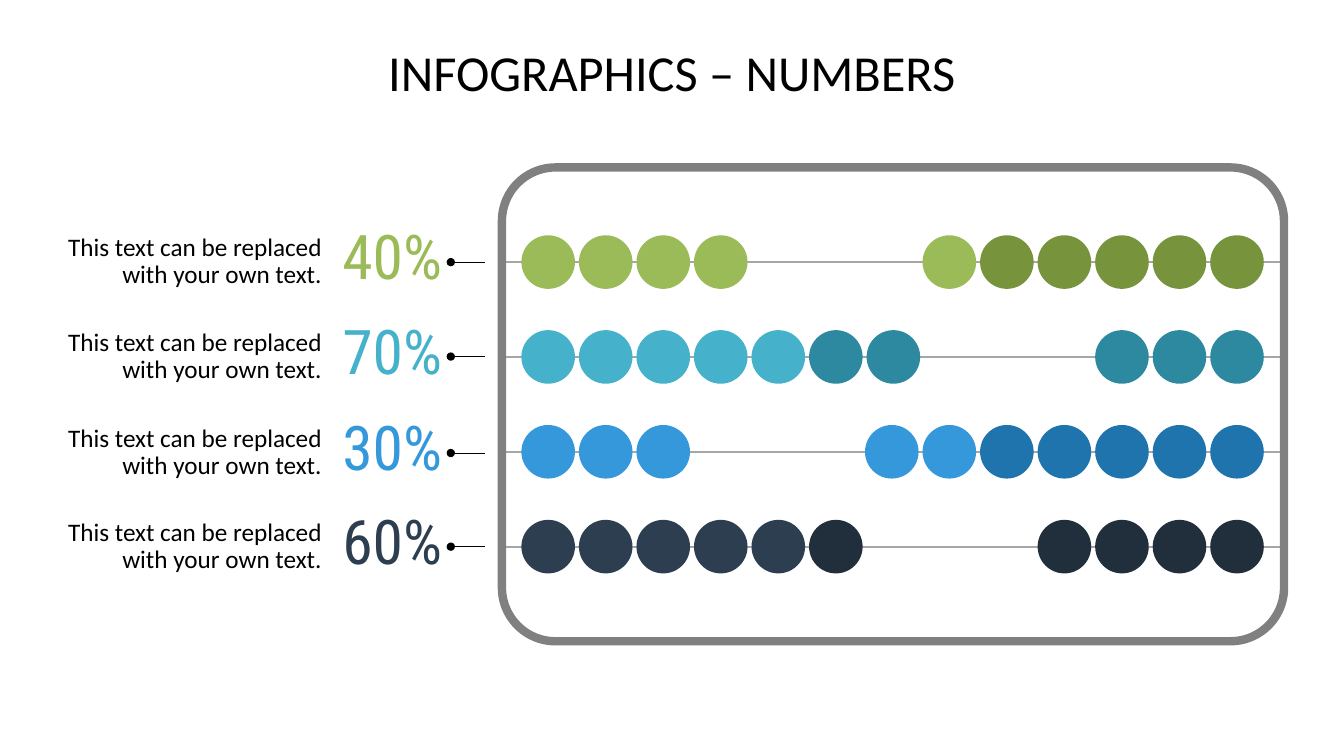
from collections import namedtuple

from lxml.etree import SubElement
from pptx import Presentation
from pptx.dml.color import RGBColor
from pptx.enum.shapes import MSO_CONNECTOR as Connector, MSO_SHAPE as Preset
from pptx.enum.text import MSO_ANCHOR as Anchor, PP_ALIGN as Align
from pptx.oxml.ns import qn
from pptx.util import Cm, Pt

BLACK = RGBColor(0x00, 0x00, 0x00)
FRAME_GRAY = RGBColor(0x80, 0x80, 0x80)
WIRE_GRAY = RGBColor(0xA6, 0xA6, 0xA6)
GREEN = RGBColor(0x9B, 0xBB, 0x59)
DARK_GREEN = RGBColor(0x77, 0x93, 0x3C)
TEAL = RGBColor(0x45, 0xB1, 0xCB)
DARK_TEAL = RGBColor(0x2D, 0x89, 0x9F)
BLUE = RGBColor(0x34, 0x98, 0xDB)
DARK_BLUE = RGBColor(0x1F, 0x74, 0xAD)
NAVY = RGBColor(0x2C, 0x3E, 0x50)
DARK_NAVY = RGBColor(0x21, 0x2E, 0x3C)

Box = namedtuple("Box", "left top width height")
Row = namedtuple("Row", "count light dark label_top")

ROWS = [
    Row(4, GREEN, DARK_GREEN, 5.4),
    Row(7, TEAL, DARK_TEAL, 7.78),
    Row(3, BLUE, DARK_BLUE, 10.21),
    Row(6, NAVY, DARK_NAVY, 12.57),
]
CAPTION = "This text can be replaced with your own text."
BEADS = 10
BEAD_SIZE = 1.35
BEAD_PITCH = 1.45
BEAD_MARGIN = 0.49
BEAD_GAP = 4.31
ROW_PITCH = 2.39


def add_text(slide, box, text, font_name, size, color, align, spacing,
             anchor=Anchor.MIDDLE, right_inset=0, space_after=0):
    shape = slide.shapes.add_textbox(*map(Cm, box))
    frame = shape.text_frame
    frame.word_wrap = True
    frame.vertical_anchor = anchor
    frame.margin_left = frame.margin_top = frame.margin_bottom = 0
    frame.margin_right = Cm(right_inset)
    frame.text = text
    paragraph = frame.paragraphs[0]
    paragraph.alignment = align
    paragraph.line_spacing = spacing
    paragraph.space_after = Pt(space_after)
    font = paragraph.runs[0].font
    font.name = font_name
    font.size = Pt(size)
    font.color.rgb = color


def add_horizontal_line(shapes, start, end, y, color, width):
    line = shapes.add_connector(Connector.STRAIGHT, Cm(start), Cm(y), Cm(end), Cm(y))
    line.line.color.rgb = color
    line.line.width = Pt(width)
    SubElement(line._element.spPr, qn("a:effectLst"))
    return line


def add_title(slide, box):
    add_text(slide, box, "INFOGRAPHICS – NUMBERS", "Calibri", 36, BLACK,
             Align.CENTER, 0.9, anchor=Anchor.TOP)


def add_bead_row(shapes, box, row):
    for index in range(BEADS):
        gap = BEAD_GAP if index >= row.count else 0
        left = box.left + BEAD_MARGIN + index * BEAD_PITCH + gap
        bead = shapes.add_shape(Preset.OVAL, Cm(left), Cm(box.top),
                                Cm(BEAD_SIZE), Cm(BEAD_SIZE))
        bead.shadow.inherit = False
        bead.fill.solid()
        bead.fill.fore_color.rgb = row.light if index < BEADS // 2 else row.dark
        bead.line.fill.background()


def add_abacus(slide, box):
    shapes = slide.shapes.add_group_shape().shapes
    middle = box.top + box.height / 2
    centers = [middle + (index - (len(ROWS) - 1) / 2) * ROW_PITCH
               for index in range(len(ROWS))]
    for center in centers:
        add_horizontal_line(shapes, box.left, box.left + box.width, center, WIRE_GRAY, 1.5)

    frame = shapes.add_shape(Preset.ROUNDED_RECTANGLE, *map(Cm, box))
    frame.adjustments[0] = 0.113
    frame.shadow.inherit = False
    frame.fill.background()
    frame.line.color.rgb = FRAME_GRAY
    frame.line.width = Pt(6)

    for center, row in zip(centers, ROWS):
        row_box = Box(box.left, center - BEAD_SIZE / 2, box.width, BEAD_SIZE)
        add_bead_row(shapes, row_box, row)


def add_label(slide, box, row):
    caption_width, percent_width, pointer_width = 6.96, 2.95, 0.86
    percent_left = box.left + caption_width
    pointer_left = percent_left + percent_width
    add_text(slide, Box(box.left, box.top, caption_width, box.height), CAPTION,
             "Calibri", 18, BLACK, Align.RIGHT, 0.9, right_inset=0.3, space_after=10)
    add_text(slide, Box(percent_left, box.top, percent_width, box.height),
             f"{row.count * 100 // BEADS}%", "Roboto Condensed", 44, row.light,
             Align.CENTER, 0.8, space_after=10)
    pointer = add_horizontal_line(slide.shapes, pointer_left + pointer_width, pointer_left,
                                  box.top + box.height / 2, BLACK, 0.5)
    SubElement(pointer.line._get_or_add_ln(), qn("a:tailEnd"), type="oval")


def main():
    presentation = Presentation()
    presentation.slide_width = Cm(33.87)
    presentation.slide_height = Cm(19.05)
    slide = presentation.slides.add_slide(presentation.slide_layouts[6])
    add_title(slide, Box(1.5, 1.2, 30.87, 3))
    add_abacus(slide, Box(12.65, 4.22, 19.71, 11.94))
    for row in ROWS:
        add_label(slide, Box(1.45, row.label_top, 10.77, 2.41), row)
    presentation.save("out.pptx")


if __name__ == "__main__":
    main()
